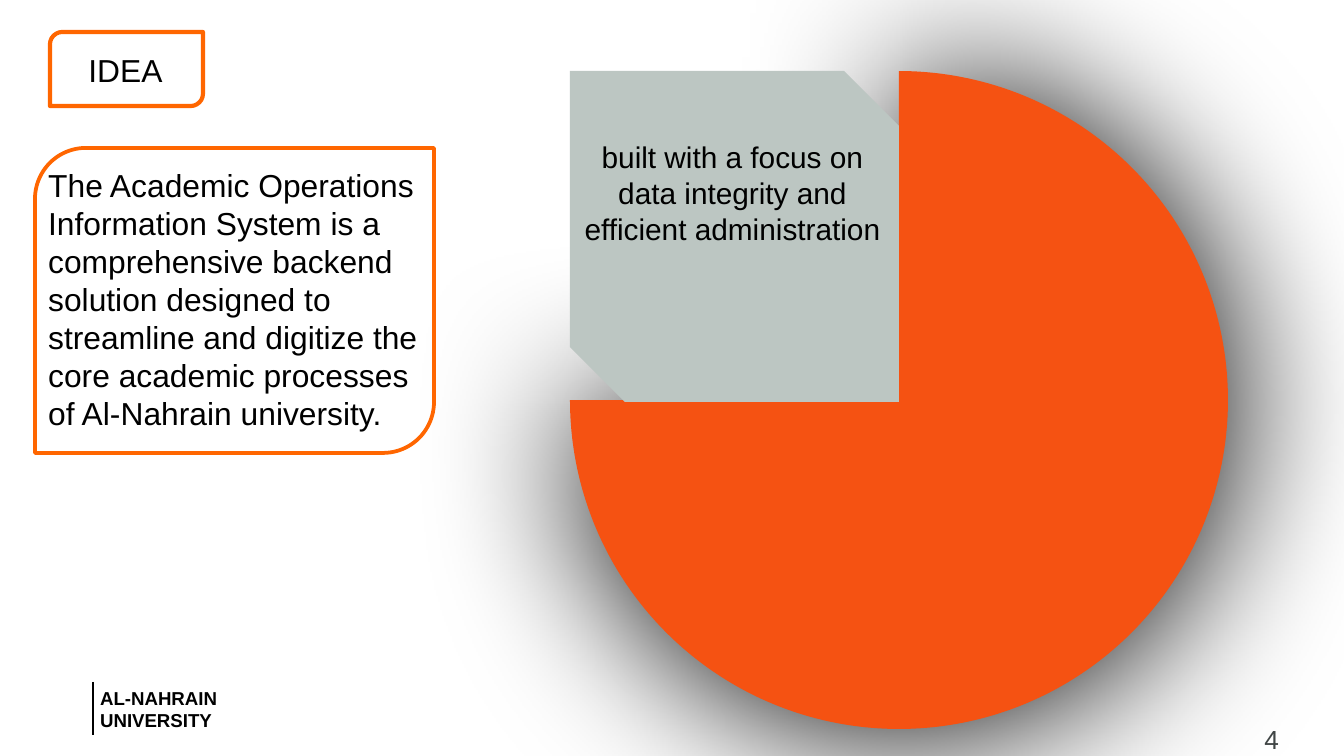
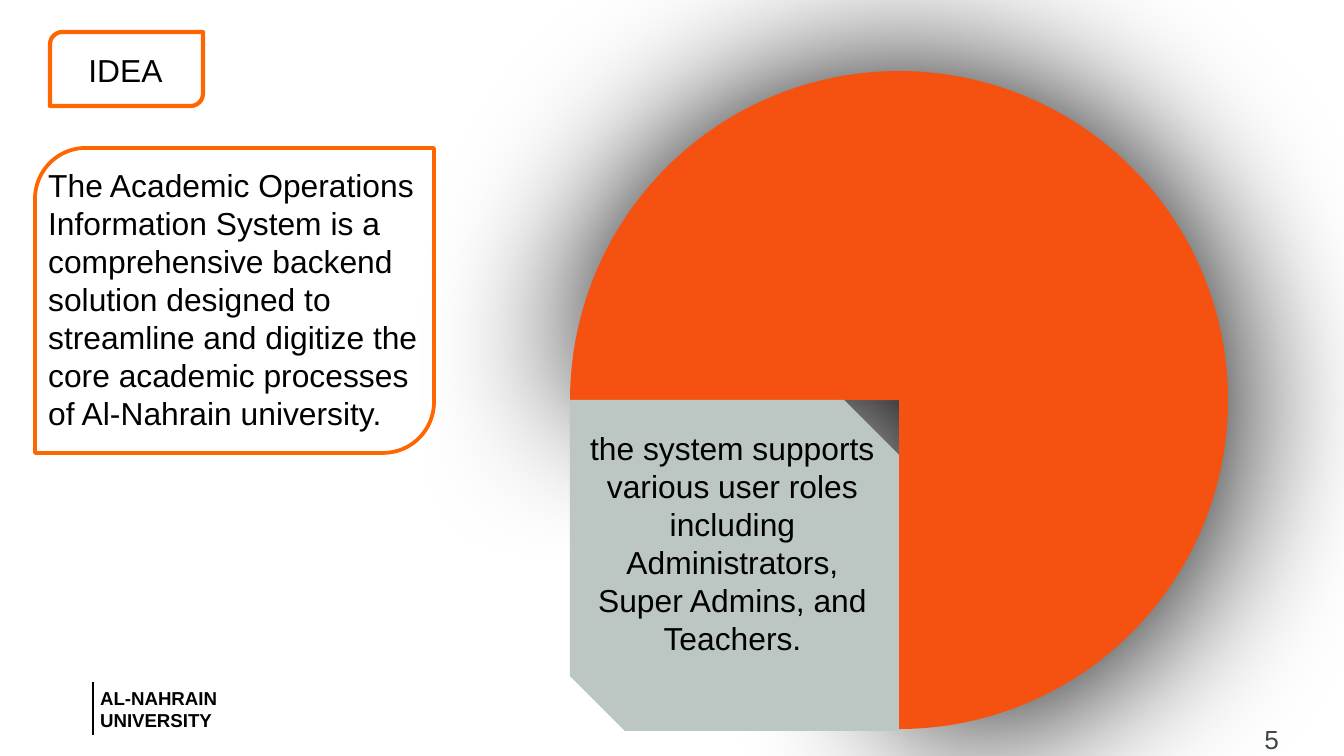
from dataclasses import dataclass
from typing import NamedTuple

from lxml.etree import SubElement
from pptx import Presentation
from pptx.dml.color import RGBColor
from pptx.enum.shapes import MSO_CONNECTOR, MSO_SHAPE
from pptx.enum.text import MSO_ANCHOR, MSO_AUTO_SIZE, PP_ALIGN
from pptx.oxml.ns import qn
from pptx.util import Emu, Pt

EMU_PER_PX = 914400 / 134.4


def px(length):
    return Emu(round(length * EMU_PER_PX))


class Box(NamedTuple):
    left: int
    top: int
    width: int
    height: int

    def inner(self, left, top, width, height):
        return Box(self.left + left, self.top + top, width, height)

    def emu(self):
        return [px(length) for length in self]


@dataclass(frozen=True)
class Theme:
    font: str = "Arial"
    ink: str = "000000"
    paper: str = "FFFFFF"
    pie: str = "F55212"
    outline: str = "FF6600"
    panel: str = "BCC6C2"
    page_number: str = "404545"
    body_size: int = 17
    caption_size: int = 16
    page_size: int = 14
    footer_size: int = 10
    tag_line: float = 2.25
    summary_line: float = 2
    shadow_blur: int = 91
    shadow_distance: int = 3
    shadow_angle: int = 45


THEME = Theme()
SLIDE = Box(0, 0, 1344, 756)
TAG = Box(50, 32, 153, 74)
SUMMARY = Box(35, 148, 399, 305)
PIE = Box(570, 71, 658, 658)
FOOTER = Box(87, 680, 173, 58)
PAGE = Box(966, 723, 313, 22)

SUMMARY_TEXT = (
    "The Academic Operations Information System is a comprehensive backend "
    "solution designed to streamline and digitize the core academic processes "
    "of Al-Nahrain university."
)

IDEAS = [
    {
        "page": 4,
        "rotation": 270,
        "row": 0,
        "caption": "built with a focus on data integrity and efficient administration",
        "size": THEME.caption_size,
        "caption_top": 61,
        "caption_height": 159,
    },
    {
        "page": 5,
        "rotation": 180,
        "row": 1,
        "caption": "the system supports various user roles including Administrators, "
                   "Super Admins, and Teachers.",
        "size": THEME.body_size,
        "caption_top": 22,
        "caption_height": 282,
    },
]


def apply(target, formats):
    for name, value in formats.items():
        setattr(target, name, value)


def write(holder, text, size, color=THEME.ink, bold=False, align=PP_ALIGN.LEFT, **frame_formats):
    frame = holder.text_frame
    frame.text = text
    apply(frame, {
        "word_wrap": True,
        "auto_size": MSO_AUTO_SIZE.NONE,
        "vertical_anchor": MSO_ANCHOR.TOP,
        **frame_formats,
    })
    paragraph = frame.paragraphs[0]
    paragraph.alignment = align
    apply(paragraph.font, {"name": THEME.font, "size": Pt(size), "bold": bold})
    paragraph.font.color.rgb = RGBColor.from_string(color)


def add_text(slide, box, text, size, **formats):
    write(slide.shapes.add_textbox(*box.emu()), text, size, **formats)


def add_region(slide, kind, box, adjustments, fill=None, outline=None, weight=0):
    region = slide.shapes.add_shape(kind, *box.emu())
    region.shadow.inherit = False
    for index, value in enumerate(adjustments):
        region.adjustments[index] = value
    if fill:
        region.fill.solid()
        region.fill.fore_color.rgb = RGBColor.from_string(fill)
    else:
        region.fill.background()
    if outline:
        region.line.color.rgb = RGBColor.from_string(outline)
        region.line.width = Pt(weight)
    else:
        region.line.fill.background()
    return region


def add_rounded_outline(slide, box, weight):
    add_region(slide, MSO_SHAPE.ROUND_2_DIAG_RECTANGLE, box, (0.167, 0),
               outline=THEME.outline, weight=weight)


def add_glow(region):
    effects = region.element.spPr.find(qn("a:effectLst"))
    shadow = SubElement(effects, qn("a:outerShdw"), {
        "blurRad": str(Pt(THEME.shadow_blur)),
        "dist": str(Pt(THEME.shadow_distance)),
        "dir": str(THEME.shadow_angle * 60000),
        "algn": "ctr",
        "rotWithShape": "0",
    })
    SubElement(shadow, qn("a:srgbClr"), {"val": THEME.ink})


def draw_footer(slide, box):
    add_text(slide, box, "AL-NAHRAIN UNIVERSITY", THEME.footer_size,
             bold=True, align=PP_ALIGN.JUSTIFY)
    rule_left = px(box.left + 6)
    rule = slide.shapes.add_connector(MSO_CONNECTOR.STRAIGHT, rule_left, px(box.top + 2),
                                      rule_left, px(box.top + 55))
    rule.line.color.rgb = RGBColor.from_string(THEME.ink)
    rule.line.width = Pt(1)
    SubElement(rule.element.spPr, qn("a:effectLst"))


def draw_page_number(slide, box, page):
    add_text(slide, box, str(page), THEME.page_size, color=THEME.page_number,
             align=PP_ALIGN.RIGHT, margin_left=0, margin_right=0,
             margin_top=0, margin_bottom=0)


def draw_tag(slide, box):
    title = slide.shapes.title
    apply(title, dict(zip(("left", "top", "width", "height"),
                          box.inner(25, 12, 105, 52).emu())))
    write(title, "IDEA", THEME.body_size)
    add_rounded_outline(slide, box, THEME.tag_line)


def draw_summary(slide, box):
    add_text(slide, box.inner(0, 11, box.width, 321), SUMMARY_TEXT, THEME.body_size)
    add_rounded_outline(slide, box, THEME.summary_line)


def draw_pie(slide, box, rotation):
    pie = add_region(slide, MSO_SHAPE.PIE, box, (0, 162), fill=THEME.pie)
    pie.rotation = rotation
    add_glow(pie)


def draw_quarter(slide, box, idea):
    half = box.width // 2
    panel = box.inner(0, idea["row"] * half, half, half + 2)
    add_region(slide, MSO_SHAPE.SNIP_2_DIAG_RECTANGLE, panel, (0, 0.167), fill=THEME.panel)
    caption = panel.inner(-3, idea["caption_top"], 331, idea["caption_height"])
    add_text(slide, caption, idea["caption"], idea["size"], align=PP_ALIGN.CENTER)


def draw_idea_slide(presentation, idea):
    slide = presentation.slides.add_slide(presentation.slide_layouts[5])
    slide.background.fill.solid()
    slide.background.fill.fore_color.rgb = RGBColor.from_string(THEME.paper)
    draw_footer(slide, FOOTER)
    draw_pie(slide, PIE, idea["rotation"])
    draw_page_number(slide, PAGE, idea["page"])
    draw_tag(slide, TAG)
    draw_summary(slide, SUMMARY)
    draw_quarter(slide, PIE, idea)


def main():
    presentation = Presentation()
    apply(presentation, {"slide_width": px(SLIDE.width), "slide_height": px(SLIDE.height)})
    for idea in IDEAS:
        draw_idea_slide(presentation, idea)
    presentation.save("out.pptx")


if __name__ == "__main__":
    main()
